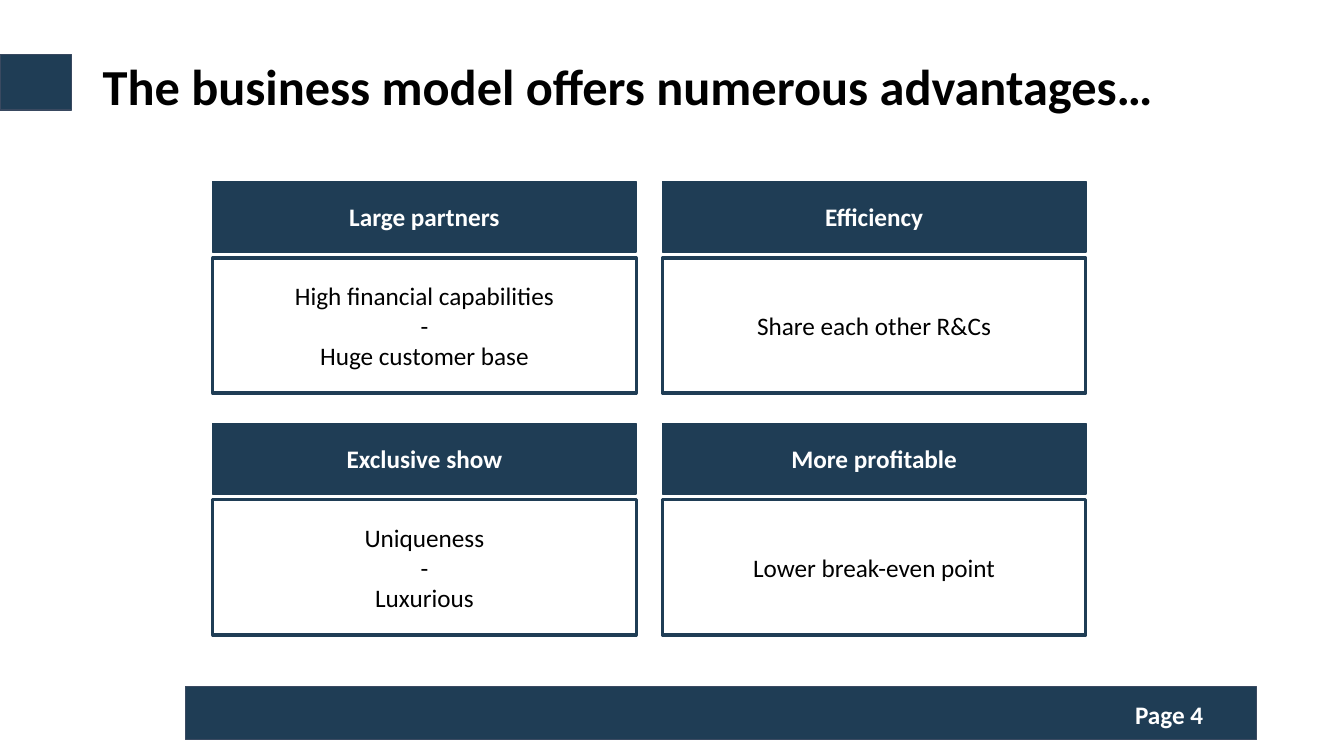
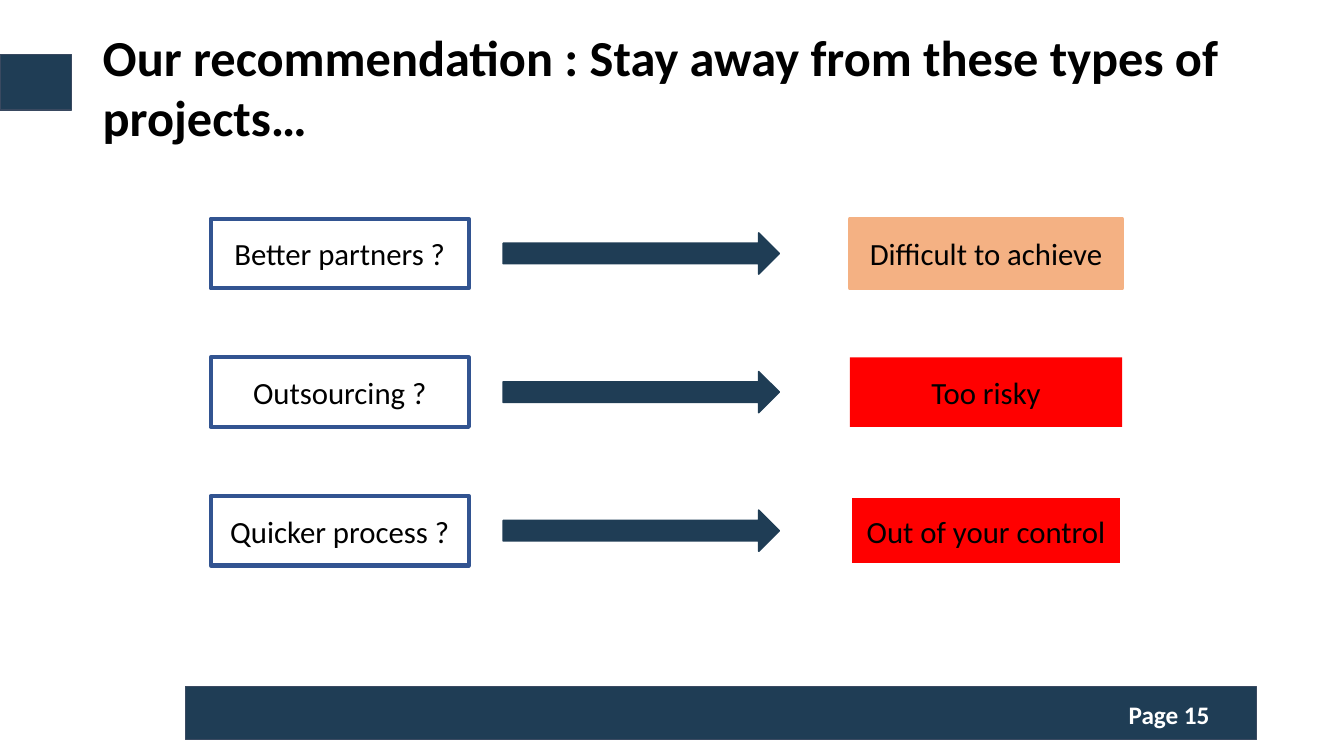
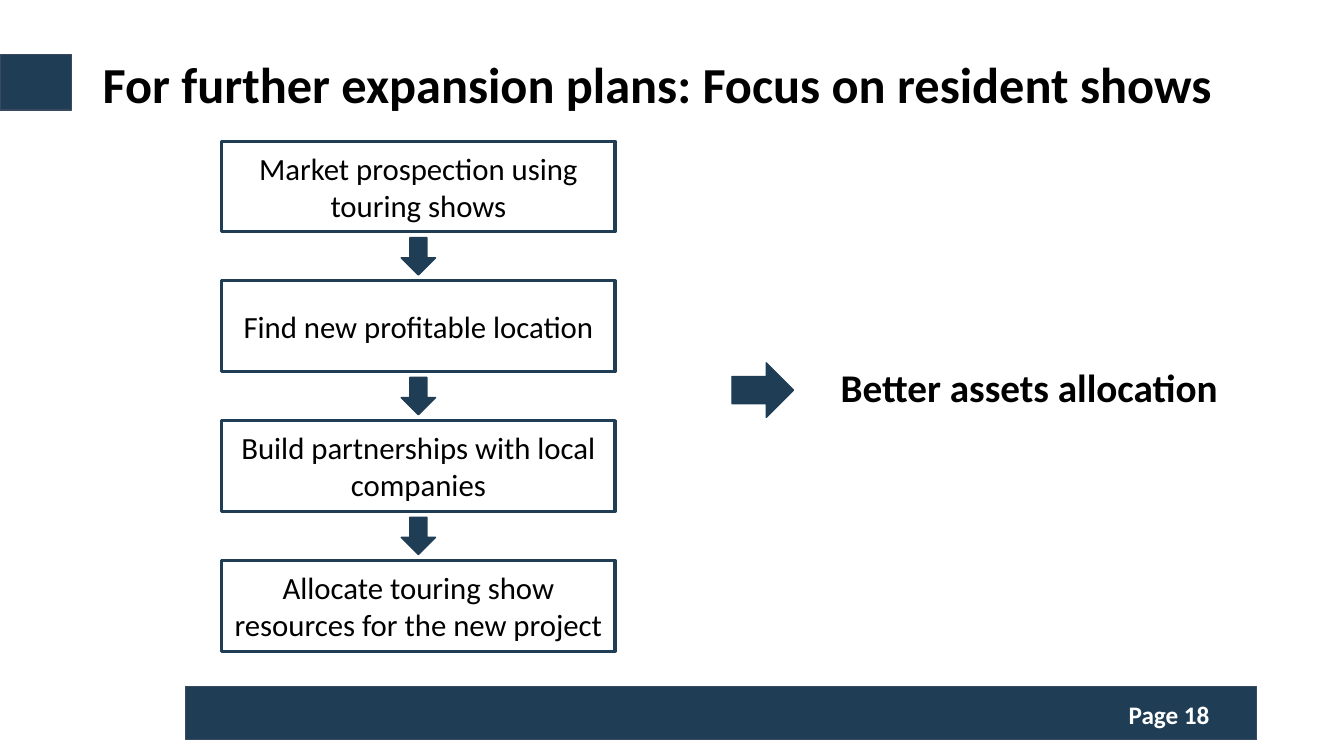
import dataclasses

import pptx
import pptx.dml.color
import pptx.enum.shapes
import pptx.enum.text
import pptx.util

Inches = pptx.util.Inches
SHAPE = pptx.enum.shapes.MSO_SHAPE
ALIGN = pptx.enum.text.PP_ALIGN
ANCHOR = pptx.enum.text.MSO_ANCHOR


@dataclasses.dataclass(frozen=True)
class Theme:
    font: str = "Calibri"
    navy: str = "1F3D55"
    tab_line: str = "394960"
    band_line: str = "3A4A61"
    question_line: str = "325491"
    orange: str = "F4B183"
    red: str = "FF0000"
    white: str = "FFFFFF"
    black: str = "000000"
    title_size: int = 36
    callout_size: int = 28
    step_size: int = 22
    label_size: int = 18


THEME = Theme()


def rgb(value):
    return pptx.dml.color.RGBColor.from_string(value)


def write(tf, lines, size, color, bold=False, align=ALIGN.CENTER):
    tf.word_wrap = True
    for i, line in enumerate(lines):
        p = tf.paragraphs[0] if i == 0 else tf.add_paragraph()
        p.text = line
        p.alignment = align
        p.font.name = THEME.font
        p.font.size = pptx.util.Pt(size)
        p.font.bold = bold
        p.font.color.rgb = rgb(color)


def add_shape(s, kind, box, fill=None, line=None, width=1):
    sp = s.shapes.add_shape(kind, *map(Inches, box))
    sp.shadow.inherit = False
    if fill:
        sp.fill.solid()
        sp.fill.fore_color.rgb = rgb(fill)
    else:
        sp.fill.background()
    if line:
        sp.line.color.rgb = rgb(line)
        sp.line.width = pptx.util.Pt(width)
    else:
        sp.line.fill.background()
    return sp


def add_box(s, box, lines, size, fill=None, line=None, width=1,
            color=THEME.black, bold=False):
    sp = add_shape(s, SHAPE.RECTANGLE, box, fill, line, width)
    sp.text_frame.vertical_anchor = ANCHOR.MIDDLE
    write(sp.text_frame, lines, size, color, bold)


def add_arrow(s, kind, box):
    add_shape(s, kind, box, THEME.navy, THEME.navy)


def add_text(s, box, text, size, color=THEME.black, align=ALIGN.LEFT):
    sp = s.shapes.add_textbox(*map(Inches, box))
    write(sp.text_frame, [text], size, color, True, align)
    return sp


def new_slide(prs, title, title_box, page):
    s = prs.slides.add_slide(prs.slide_layouts[6])
    add_shape(s, SHAPE.RECTANGLE, (0, 0.54, 0.71, 0.55), THEME.navy, THEME.tab_line)
    add_shape(s, SHAPE.RECTANGLE, (1.84, 6.81, 10.62, 0.53), THEME.navy,
              THEME.band_line, 0.75)
    add_text(s, (10.77, 6.89, 1.65, 0.4), f"Page {page}", THEME.label_size,
             THEME.white, ALIGN.CENTER)
    add_text(s, title_box, title, THEME.title_size)
    return s


def add_card(s, box, heading, lines):
    x, y, w, h = box
    head_h, gap = 0.7, 0.06
    add_box(s, (x, y, w, head_h), [heading], THEME.label_size, THEME.navy,
            THEME.navy, color=THEME.white, bold=True)
    add_box(s, (x, y + head_h + gap, w, h - head_h - gap), lines,
            THEME.label_size, THEME.white, THEME.navy, 2.25)


def add_card_grid(s, box, cards, columns=2, gap_x=0.26, gap_y=0.3):
    x, y, w, h = box
    rows = len(cards) // columns
    card_w = (w - gap_x * (columns - 1)) / columns
    card_h = (h - gap_y * (rows - 1)) / rows
    for i, (heading, lines) in enumerate(cards):
        row, col = divmod(i, columns)
        add_card(s, (x + col * (card_w + gap_x), y + row * (card_h + gap_y),
                     card_w, card_h), heading, lines)


def add_answer_row(s, box, question, answer, fill, line):
    x, y, w, h = box
    question_w, answer_w, arrow_h = 2.56, 2.7, 0.41
    add_box(s, (x, y, question_w, h), [question], THEME.step_size,
            line=THEME.question_line, width=3)
    add_arrow(s, SHAPE.RIGHT_ARROW,
              (x + 2.9, y + (h - arrow_h) / 2, 2.74, arrow_h))
    add_box(s, (x + w - answer_w, y, answer_w, h), [answer], THEME.step_size,
            fill, line, 3)


def add_step_chain(s, box, steps, step_h=0.9):
    x, y, w, h = box
    arrow_w, arrow_h = 0.34, 0.37
    pitch = (h - step_h) / (len(steps) - 1)
    gap = pitch - step_h
    for i, step in enumerate(steps):
        top = y + i * pitch
        add_box(s, (x, top, w, step_h), [step], THEME.step_size,
                THEME.white, THEME.navy, 2.25)
        if i:
            add_arrow(s, SHAPE.DOWN_ARROW,
                      (x + (w - arrow_w) / 2, top - (gap + arrow_h) / 2,
                       arrow_w, arrow_h))


def add_conclusion(s, box, text):
    x, y, w, h = box
    add_arrow(s, SHAPE.RIGHT_ARROW, (x, y, 0.61, 0.54))
    sp = add_text(s, (x + 0.98, y + 0.01, w - 0.98, h), text, THEME.callout_size)
    sp.text_frame.paragraphs[0].line_spacing = 0.9


def advantages_slide(prs):
    s = new_slide(prs, "The business model offers numerous advantages…",
                  (0.92, 0.5, 10.86, 0.71), 4)
    add_card_grid(s, (2.11, 1.8, 8.66, 4.5), [
        ("Large partners", ["High financial capabilities", "-", "Huge customer base"]),
        ("Efficiency", ["Share each other R&Cs"]),
        ("Exclusive show", ["Uniqueness", "-", "Luxurious"]),
        ("More profitable", ["Lower break-even point"]),
    ])


def recommendation_slide(prs):
    s = new_slide(prs, "Our recommendation : Stay away from these types of projects…",
                  (0.92, 0.21, 11.92, 1.31), 15)
    rows = [
        ("Better partners ?", "Difficult to achieve", THEME.orange, THEME.orange),
        ("Outsourcing ?", "Too risky", THEME.red, None),
        ("Quicker process ?", "Out of your control", THEME.red, THEME.white),
    ]
    for i, row in enumerate(rows):
        add_answer_row(s, (2.09, 2.17 + i * 1.375, 9.04, 0.69), *row)


def expansion_slide(prs):
    s = new_slide(prs, "For further expansion plans: Focus on resident shows",
                  (0.92, 0.48, 11.5, 0.71), 18)
    add_step_chain(s, (2.2, 1.4, 3.9, 5.06), [
        "Market prospection using touring shows",
        "Find new profitable location",
        "Build partnerships with local companies",
        "Allocate touring show resources for the new project",
    ])
    add_conclusion(s, (7.26, 3.6, 5.02, 0.58), "Better assets allocation")


def main():
    prs = pptx.Presentation()
    prs.slide_width = Inches(13.33)
    prs.slide_height = Inches(7.5)
    advantages_slide(prs)
    recommendation_slide(prs)
    expansion_slide(prs)
    prs.save("out.pptx")


if __name__ == "__main__":
    main()
